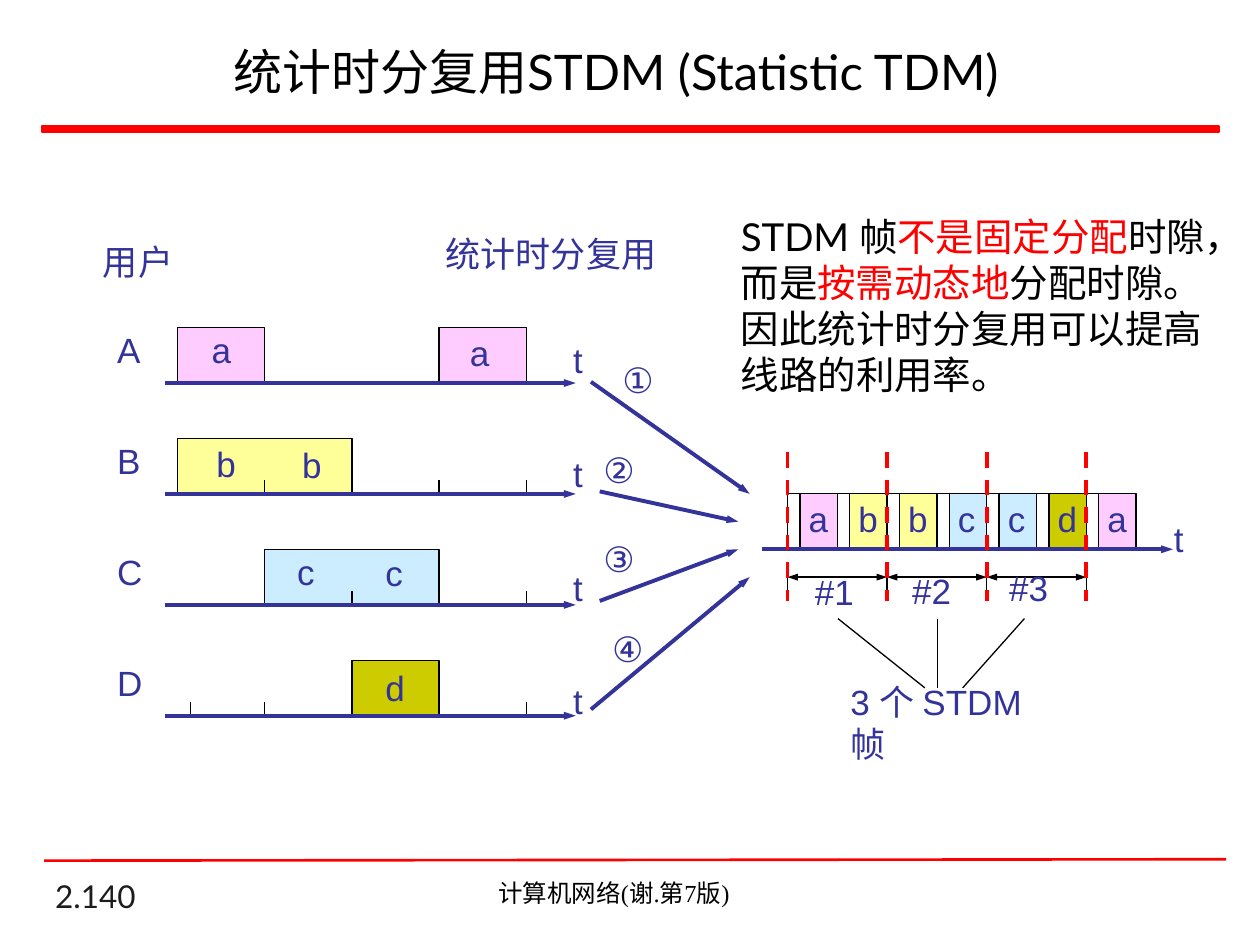
from lxml import etree
from pptx import Presentation
from pptx.dml.color import RGBColor
from pptx.enum.dml import MSO_LINE
from pptx.enum.shapes import MSO_CONNECTOR, MSO_SHAPE
from pptx.enum.text import MSO_ANCHOR, MSO_AUTO_SIZE, PP_ALIGN
from pptx.oxml.ns import qn
from pptx.util import Pt

STRAIGHT = MSO_CONNECTOR.STRAIGHT
RECTANGLE = MSO_SHAPE.RECTANGLE
DASH = MSO_LINE.DASH
TOP, MIDDLE, BOTTOM = MSO_ANCHOR.TOP, MSO_ANCHOR.MIDDLE, MSO_ANCHOR.BOTTOM
GROW, FIXED = MSO_AUTO_SIZE.SHAPE_TO_FIT_TEXT, MSO_AUTO_SIZE.NONE
LEFT, CENTER = PP_ALIGN.LEFT, PP_ALIGN.CENTER

BLACK, RED, NAVY = "000000", "FF0000", "333399"
FILLS = {"a": "FFCCFF", "b": "FFFF99", "c": "CCECFF", "d": "CCCC00"}

SLOT_LEFT, SLOT_WIDTH = 101.5, 49.8
ROW_BASE, ROW_PITCH = 218.9, 63.37
BOX_HEIGHT, TICK = 31.7, 7.9
FRAME_LEFT, FRAME_PITCH, FRAME_GAP, FRAME_BASE = 450, 28.45, 7.1, 313.9


def color(value):
    return RGBColor.from_string(value)


def write(frame, spans, size=20, font="Arial", align=LEFT, anchor=TOP,
          wrap=False, fit=GROW):
    """Fill a text frame with one paragraph of (text, colour) spans."""
    frame.word_wrap = wrap
    frame.auto_size = fit
    frame.vertical_anchor = anchor
    para = frame.paragraphs[0]
    para.alignment = align
    for text, shade in spans:
        span = para.add_run()
        span.text = text
        span.font.size = Pt(size)
        span.font.name = font
        span.font.color.rgb = color(shade)


class Painter:
    """Holds the current page and the style of its elements."""

    def __init__(self, page):
        self.page = page
        self.shapes = page.shapes

    def title(self, text, left, top, width, height):
        box = self.shapes.title
        box.left, box.top, box.width, box.height = map(Pt, (left, top, width, height))
        box.text_frame.margin_right = Pt(22)
        write(box.text_frame, [(text, BLACK)], size=28, font="Lato", align=CENTER,
              anchor=MIDDLE, wrap=True, fit=FIXED)

    def text(self, spans, left, top, width, height=31, **style):
        if isinstance(spans, str):
            spans = [(spans, NAVY)]
        box = self.shapes.add_textbox(Pt(left), Pt(top), Pt(width), Pt(height))
        write(box.text_frame, spans, **style)

    def line(self, x1, y1, x2, y2, shade=BLACK, width=0.75, dash=None, ends=()):
        connector = self.shapes.add_connector(STRAIGHT, Pt(x1), Pt(y1), Pt(x2), Pt(y2))
        connector.line.color.rgb = color(shade)
        connector.line.width = Pt(width)
        if dash:
            connector.line.dash_style = dash
        for end in ends:
            etree.SubElement(connector.line._get_or_add_ln(), qn(f"a:{end}"),
                             type="triangle", w="sm", len="med")
        etree.SubElement(connector._element.spPr, qn("a:effectLst"))

    def arrow(self, x1, y1, x2, y2):
        self.line(x1, y1, x2, y2, NAVY, 2.25, ends=["tailEnd"])

    def tick(self, x, base):
        self.line(x, base - TICK, x, base)

    def slot(self, left, base, width, fill=None):
        """Draw a slot that is open along its base."""
        top, right = base - BOX_HEIGHT, left + width
        builder = self.shapes.build_freeform(Pt(left), Pt(base))
        corners = [(left, top), (right, top), (right, base)]
        builder.add_line_segments([(Pt(x), Pt(y)) for x, y in corners], close=False)
        outline = builder.convert_to_shape()
        outline.shadow.inherit = False
        outline.line.color.rgb = color(BLACK)
        outline.line.width = Pt(0.75)
        if fill:
            outline.fill.solid()
            outline.fill.fore_color.rgb = color(fill)
        else:
            outline.fill.background()

    def bar(self, left, top, width, height, shade):
        bar = self.shapes.add_shape(RECTANGLE, Pt(left), Pt(top), Pt(width), Pt(height))
        bar.shadow.inherit = False
        bar.fill.solid()
        bar.fill.fore_color.rgb = bar.line.color.rgb = color(shade)
        bar.line.width = Pt(1)


def draw_frame_parts(painter):
    painter.bar(24, 72, 672.5, 3.6, RED)
    painter.line(25.2, 491.8, 700.6, 491, RED, 1.5)
    painter.text([("2.140", "1C1C1C")], 24.5, 502.6, 150, 23.8, size=18, font="Lato",
                 anchor=BOTTOM, wrap=True, fit=FIXED)
    painter.text([("计算机网络(谢.第7版)", BLACK)], 203.8, 498.2, 293.8, 24.5, size=14,
                 font="Times New Roman", align=CENTER, wrap=True, fit=FIXED)
    painter.title("统计时分复用STDM (Statistic TDM)", 28, 15.8, 663, 49.7)


def draw_users(painter):
    # user, slots as (letter, first slot, count), letters as (left, top), tick slots
    rows = [
        ("A", [("a", 0, 1), ("a", 3, 1)], [(113.8, 184.3), (261.4, 185.8)], []),
        ("B", [("b", 0, 2)], [(116.6, 249.1), (165.6, 249.8)], [1, 3, 4]),
        ("C", [("c", 1, 2)], [(162.7, 311), (213.1, 311.8)], [2, 4]),
        ("D", [("d", 2, 1)], [(213.1, 377.3)], [0.145, 1, 4]),
    ]
    for index, (user, slots, letters, ticks) in enumerate(rows):
        base = ROW_BASE + index * ROW_PITCH
        for letter, first, count in slots:
            painter.slot(SLOT_LEFT + first * SLOT_WIDTH, base, count * SLOT_WIDTH,
                         FILLS[letter])
        for left, top in letters:
            painter.text(user.lower(), left, top, 26)
        for place in ticks:
            painter.tick(SLOT_LEFT + place * SLOT_WIDTH, base)
        painter.text(user, 59.8, base - 34.6, 28.4)
        painter.text("t", 320.4, 190 + index * 65, 20)
        painter.arrow(94.3, base, 329, base)


def draw_inputs(painter):
    inputs = [
        ("①", 348.5, 201.6, (337.7, 218.2, 428.4, 282.2)),
        ("②", 337.7, 252.7, (342.7, 280.8, 421.9, 298.1)),
        ("③", 337.7, 303.8, (342.7, 343.4, 421.9, 313.9)),
        ("④", 342.7, 355, (337.7, 405.4, 428.4, 329.8)),
    ]
    for number, left, top, ends in inputs:
        painter.arrow(*ends)
        painter.text(number, left, top, 34.6)


def draw_output(painter):
    for index, letter in enumerate("abbccda"):
        left = FRAME_LEFT + index * FRAME_PITCH
        painter.slot(left + FRAME_GAP, FRAME_BASE, FRAME_PITCH - FRAME_GAP, FILLS[letter])
        painter.slot(left, FRAME_BASE, FRAME_GAP)
        painter.text(letter, left + 5, 280.8, 26)
    for x in (514.1, 535.5, 620.7):
        painter.tick(x, FRAME_BASE)
    painter.arrow(435.6, FRAME_BASE, 670.3, FRAME_BASE)
    painter.text("t", 663.8, 292.3, 20)

    bounds = [FRAME_LEFT + 2 * index * FRAME_PITCH for index in range(4)]
    for left, right in zip(bounds, bounds[1:]):
        painter.line(left, 329.8, right, 329.8, ends=["headEnd", "tailEnd"])
    for x in bounds:
        painter.line(x, 321.8, x, 337.7)
        painter.line(x, 258.5, x, 343.4, RED, 2.25, DASH)

    frames = [("#1", 458.6, 322.6, 478.8, 528.5), ("#2", 514.1, 321.8, 535.7, 535.7),
              ("#3", 569.5, 320.4, 585.4, 550.1)]
    for name, left, top, start, end in frames:
        painter.text(name, left, top, 36.7)
        painter.line(start, 353.5, end, 393.1)
    painter.text("3 个 STDM 帧", 478.8, 385.2, 132, 55, wrap=True)


def main():
    deck = Presentation()
    deck.slide_width, deck.slide_height = Pt(720), Pt(540)
    painter = Painter(deck.slides.add_slide(deck.slide_layouts[5]))
    draw_frame_parts(painter)
    painter.text("用户", 51.8, 133.9, 54.7)
    painter.text("统计时分复用", 247.7, 129.6, 134.6)
    draw_users(painter)
    draw_inputs(painter)
    draw_output(painter)
    painter.text([("STDM 帧", BLACK), ("不是固定分配", RED), ("时隙，而是", BLACK),
                  ("按需动态地", RED),
                  ("分配时隙。因此统计时分复用可以提高线路的利用率。", BLACK)],
                 416.2, 118.1, 286.6, 113.8, size=22, font="Lato", wrap=True)
    deck.save("out.pptx")


if __name__ == "__main__":
    main()
